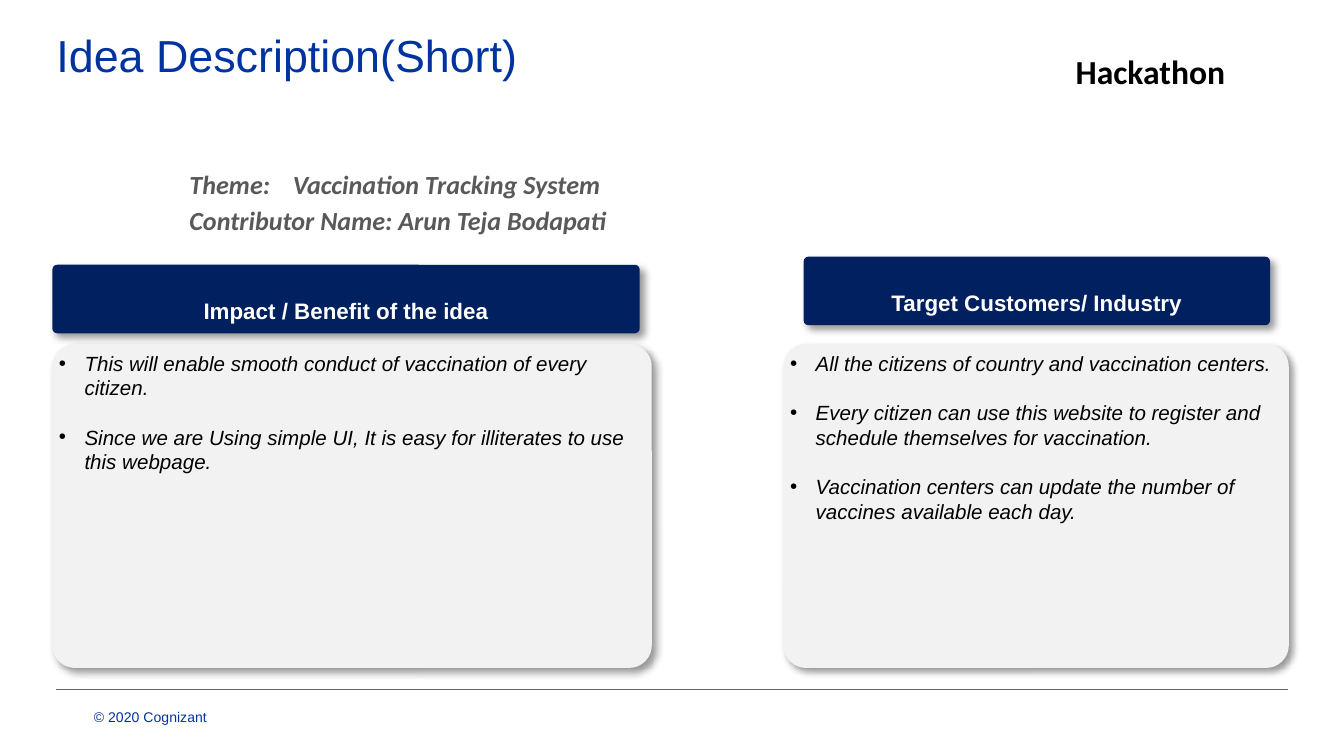
from dataclasses import dataclass

from lxml.etree import SubElement
from pptx import Presentation
from pptx.dml.color import RGBColor as Rgb
from pptx.enum.shapes import MSO_CONNECTOR as Connector, MSO_SHAPE as Shape
from pptx.enum.text import MSO_ANCHOR as Anchor, PP_ALIGN as Align
from pptx.oxml.ns import qn
from pptx.util import Inches, Pt

TITLE = "Idea Description(Short)"
EVENT = "Hackathon"
COPYRIGHT = "© 2020 Cognizant"
DETAILS = [
    "Theme:\tVaccination Tracking System",
    "Contributor Name: Arun Teja Bodapati",
]
COLUMNS = [
    {
        "heading": "Impact / Benefit of the idea",
        "heading_at": (0.39, 1.97, 4.37),
        "card_at": (0.39, 4.46),
        "points": [
            "This will enable smooth conduct of vaccination of every citizen.",
            "Since we are Using simple UI, It is easy for illiterates to use this webpage.",
        ],
    },
    {
        "heading": "Target Customers/ Industry",
        "heading_at": (5.98, 1.91, 3.47),
        "card_at": (5.83, 3.76),
        "points": [
            "All the citizens of country and vaccination centers.",
            "Every citizen can use this website to register and schedule themselves for vaccination.",
            "Vaccination centers can update the number of vaccines available each day.",
        ],
    },
]
SLIDE_WIDTH, SLIDE_HEIGHT = 10, 10 * 9 / 16
HEADING_HEIGHT, CARD_TOP, CARD_HEIGHT = 0.51, 2.56, 2.41
CORNER, BULLET_INDENT, TAB_STOP = 0.07, 0.19, 0.77


@dataclass(frozen=True)
class Style:
    size: float
    color: str
    font: str = "Arial"
    bold: bool = False
    italic: bool = False


THEME = {
    "title": Style(24, "0033A0"),
    "event": Style(18, "000000", "Calibri", bold=True),
    "details": Style(14, "595959", "Calibri", bold=True, italic=True),
    "heading": Style(12, "FFFFFF", bold=True),
    "point": Style(11, "000000", italic=True),
    "footer": Style(7.5, "0033A0"),
    "navy": "002060",
    "card": "F2F2F2",
    "rule": "666666",
    "shadow": "000000",
}


def write(box, lines, style, margins=(0, 0, 0, 0), align=Align.LEFT, gap=0):
    """Fill a box with one styled paragraph per line and return the paragraphs."""
    frame = box.text_frame
    frame.word_wrap = True
    frame.vertical_anchor = Anchor.TOP
    (frame.margin_left, frame.margin_top,
     frame.margin_right, frame.margin_bottom) = map(Inches, margins)
    paras = []
    for index, line in enumerate(lines):
        para = frame.add_paragraph() if index else frame.paragraphs[0]
        para.alignment = align
        if index:
            para.space_before = Pt(gap)
        span = para.add_run()
        span.text = line
        font = span.font
        font.name, font.size = style.font, Pt(style.size)
        font.bold, font.italic = style.bold, style.italic
        font.color.rgb = Rgb.from_string(style.color)
        paras.append(para)
    return paras


def add_text(page, place, lines, style, **options):
    """Add a text box and return its paragraphs."""
    box = page.shapes.add_textbox(*map(Inches, place))
    return write(box, lines, style, **options)


def add_panel(page, place, color):
    """Add a rounded panel with a soft diagonal shadow."""
    panel = page.shapes.add_shape(Shape.ROUNDED_RECTANGLE, *map(Inches, place))
    panel.adjustments[0] = CORNER
    panel.fill.solid()
    panel.fill.fore_color.rgb = Rgb.from_string(color)
    panel.line.fill.background()
    panel.shadow.inherit = False
    effects = panel.element.spPr.find(qn("a:effectLst"))
    shadow = SubElement(effects, qn("a:outerShdw"), blurRad=str(Pt(4)),
                        dist=str(Pt(3)), dir="2700000", algn="tl", rotWithShape="0")
    tint = SubElement(shadow, qn("a:srgbClr"), val=THEME["shadow"])
    SubElement(tint, qn("a:alpha"), val="40000")
    return panel


def add_bullet(para):
    """Give a paragraph a hanging round bullet."""
    props = para._p.get_or_add_pPr()
    props.set("marL", str(Inches(BULLET_INDENT)))
    props.set("indent", str(-Inches(BULLET_INDENT)))
    SubElement(props, qn("a:buFont"), typeface="Arial")
    SubElement(props, qn("a:buChar"), char="•")


def add_column(page, column):
    """Add a heading panel with its card of bullet points."""
    heading = add_panel(page, (*column["heading_at"], HEADING_HEIGHT), THEME["navy"])
    write(heading, [column["heading"]], THEME["heading"],
          margins=(0, 0.23, 0, 0), align=Align.CENTER)
    left, width = column["card_at"]
    card = add_panel(page, (left, CARD_TOP, width, CARD_HEIGHT), THEME["card"])
    for para in write(card, column["points"], THEME["point"], gap=13.2):
        add_bullet(para)


def add_footer(page):
    """Add the copyright line and the rule above it."""
    add_text(page, (0.6, 5.22, 1.97, 0.23), [COPYRIGHT], THEME["footer"],
             margins=(0.1, 0.05, 0.1, 0.05))
    ends = map(Inches, (0.42, 5.13, 9.58, 5.13))
    rule = page.shapes.add_connector(Connector.STRAIGHT, *ends)
    rule.line.color.rgb = Rgb.from_string(THEME["rule"])
    rule.line.width = Pt(0.5)
    SubElement(rule.element.spPr, qn("a:effectLst"))


def main():
    """Build the idea description slide."""
    deck = Presentation()
    deck.slide_width, deck.slide_height = Inches(SLIDE_WIDTH), Inches(SLIDE_HEIGHT)
    page = deck.slides.add_slide(deck.slide_layouts[6])
    add_footer(page)
    title = add_text(page, (0.42, 0.25, 4.58, 0.43), [TITLE], THEME["title"])
    title[0].line_spacing = 0.9
    for column in COLUMNS:
        add_column(page, column)
    details = add_text(page, (1.23, 0.92, 8.56, 0.86), DETAILS, THEME["details"],
                       margins=(0.18, 0.33, 0.1, 0.05), gap=2.6)
    tabs = SubElement(details[0]._p.get_or_add_pPr(), qn("a:tabLst"))
    SubElement(tabs, qn("a:tab"), pos=str(Inches(TAB_STOP)), algn="l")
    add_text(page, (7.33, 0.38, 2.46, 0.6), [EVENT], THEME["event"], align=Align.CENTER)
    deck.save("out.pptx")


if __name__ == "__main__":
    main()
